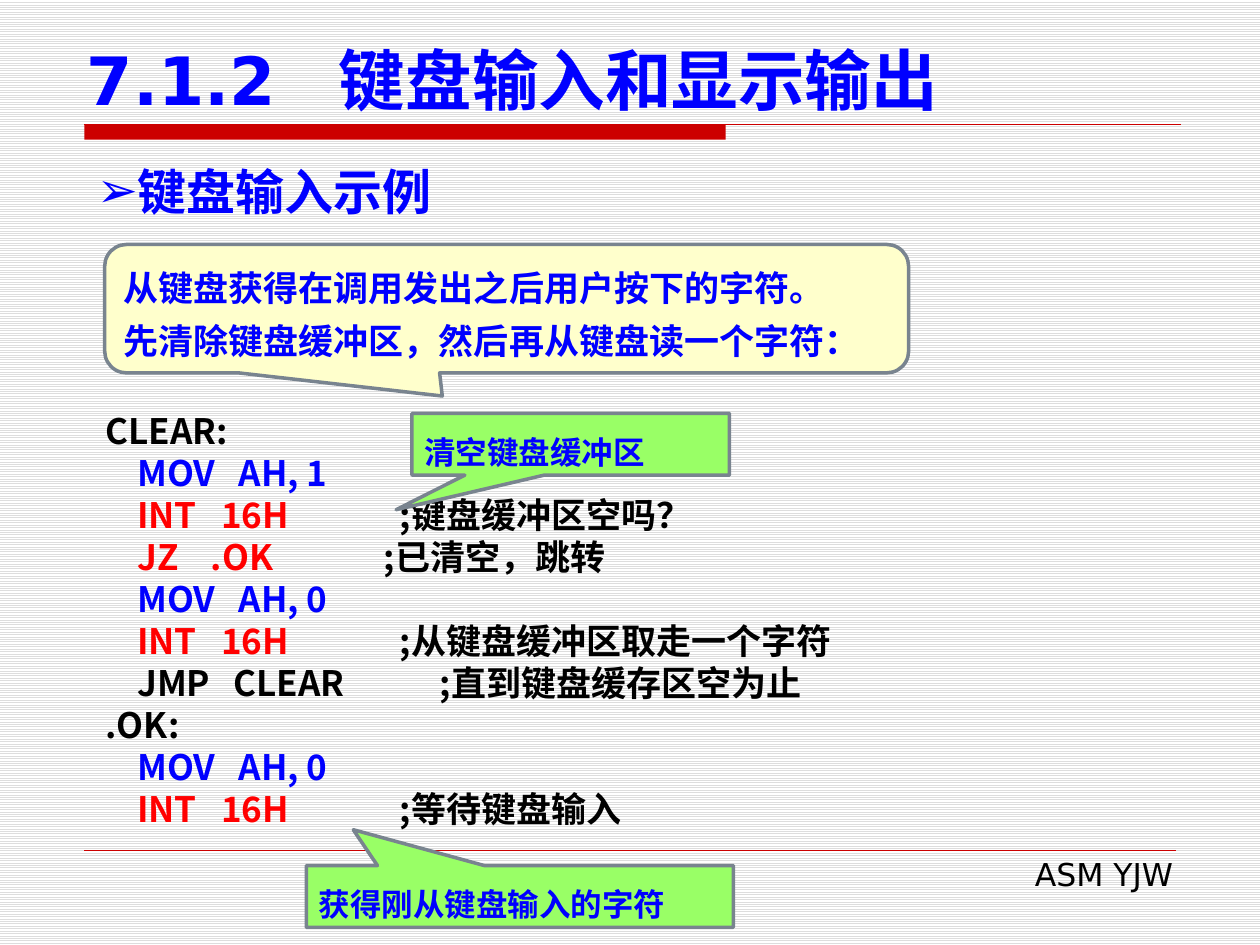
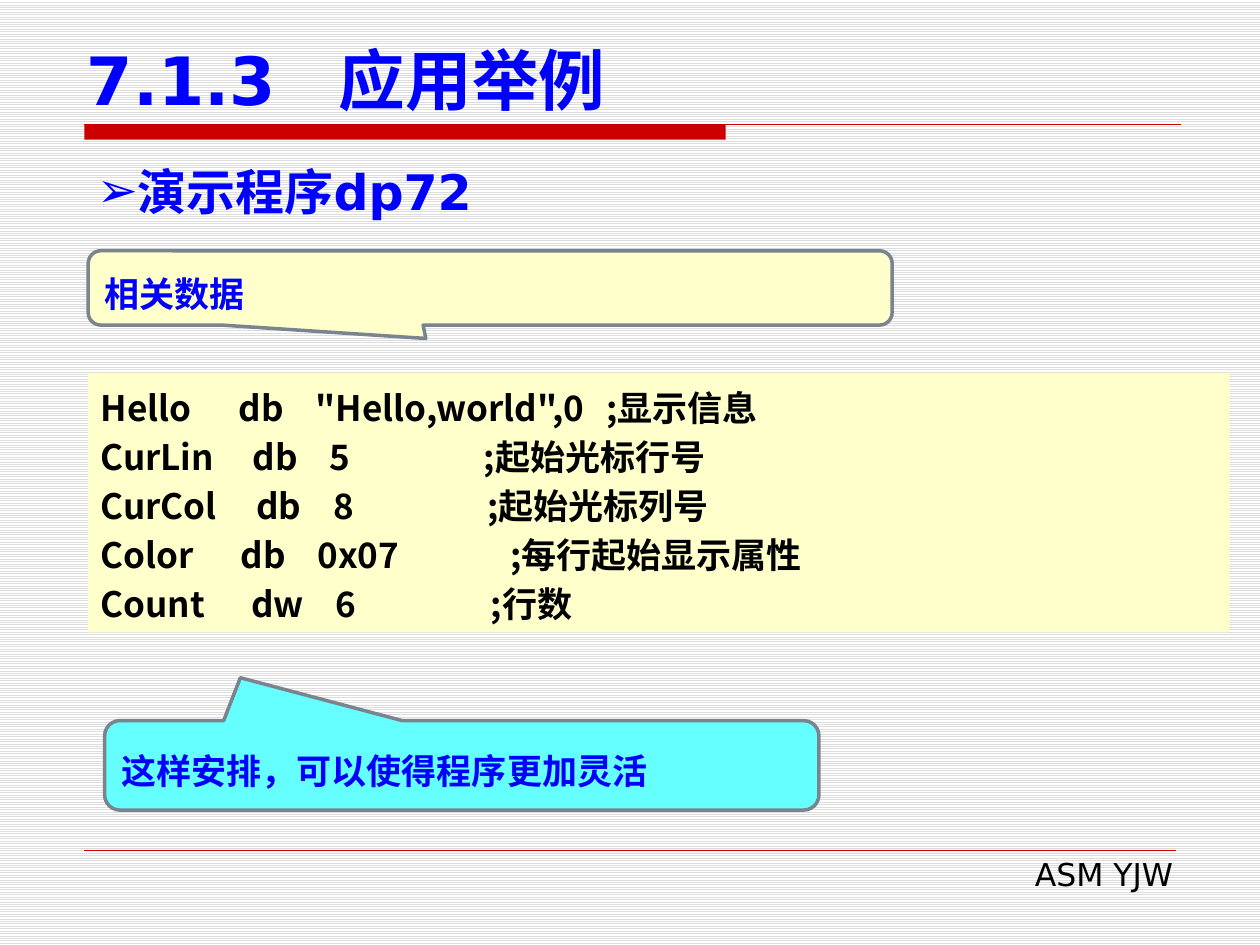
from lxml.etree import SubElement
from pptx import Presentation
from pptx.dml.color import RGBColor
from pptx.enum.dml import MSO_PATTERN
from pptx.enum.shapes import MSO_CONNECTOR, MSO_SHAPE
from pptx.enum.text import MSO_ANCHOR, MSO_AUTO_SIZE, PP_ALIGN
from pptx.oxml.ns import qn
from pptx.util import Pt

BLUE = RGBColor(0x00, 0x00, 0xFF)
RED = RGBColor(0xFF, 0x00, 0x00)
BLACK = RGBColor(0x00, 0x00, 0x00)
BAND = RGBColor(0xCC, 0x00, 0x00)
GREY = RGBColor(0x79, 0x84, 0x8F)
CREAM = RGBColor(0xFF, 0xFF, 0xCC)
GREEN = RGBColor(0x99, 0xFF, 0x66)
CYAN = RGBColor(0x66, 0xFF, 0xFF)
STRIPE = RGBColor(0xDD, 0xDD, 0xDD)
WHITE = RGBColor(0xFF, 0xFF, 0xFF)

SANS = "DejaVu Sans"
HAN = "Noto Sans CJK SC"
ROUND = MSO_SHAPE.ROUNDED_RECTANGULAR_CALLOUT
WEDGE = MSO_SHAPE.RECTANGULAR_CALLOUT

# Tab stops of the code lines: mnemonic, operand, remark
MOV = (18, 76)
INT = (18, 66, 168)
JZ = (18, 60, 159)
JMP = (18, 73, 191)

# Each line: its tab stops, then its runs as (text, colour)
KEYS = [
    ((), [("CLEAR:", BLACK)]),
    (MOV, [("\tMOV\tAH, 1", BLUE)]),
    (INT, [("\tINT\t16H\t", RED), (";键盘缓冲区空吗？", BLACK)]),
    (JZ, [("\tJZ\t.OK\t", RED), (";已清空，跳转", BLACK)]),
    (MOV, [("\tMOV\tAH, 0", BLUE)]),
    (INT, [("\tINT\t16H\t", RED), (";从键盘缓冲区取走一个字符", BLACK)]),
    (JMP, [("\tJMP\tCLEAR\t;直到键盘缓存区空为止", BLACK)]),
    ((), [(".OK:", BLACK)]),
    (MOV, [("\tMOV\tAH, 0", BLUE)]),
    (INT, [("\tINT\t16H\t", RED), (";等待键盘输入", BLACK)]),
]
DATA = [
    ((79, 123, 289), [('Hello\tdb\t"Hello,world",0\t;显示信息', BLACK)]),
    ((87, 131, 219), [("CurLin\tdb\t5\t;起始光标行号", BLACK)]),
    ((89, 133, 221), [("CurCol\tdb\t8\t;起始光标列号", BLACK)]),
    ((80, 124, 234), [("Color\tdb\t0x07\t;每行起始显示属性", BLACK)]),
    ((86, 134, 223), [("Count\tdw\t6\t;行数", BLACK)]),
]

# Callouts: kind, box, adjustments, fill, font, size, lines
SLIDES = [
    {
        "title": "7.1.2\t键盘输入和显示输出",
        "head": "键盘输入示例",
        "code": (KEYS, (53.3, 230.4, 584, 250), 24, None),
        "notes": [
            (ROUND, (59.8, 139.7, 459.4, 73.4), (-0.08, 0.68, 0.17), CREAM, HAN, 20,
             ["从键盘获得在调用发出之后用户按下的字符。",
              "先清除键盘缓冲区，然后再从键盘读一个字符："]),
            (WEDGE, (235.4, 236.2, 181.4, 35.3), (-0.55, 1.06), GREEN, SANS, 18,
             ["清空键盘缓冲区"]),
            (WEDGE, (175, 494.6, 244.1, 35.3), (-0.39, -1.08), GREEN, SANS, 18,
             ["获得刚从键盘输入的字符"]),
        ],
    },
    {
        "title": "7.1.3\t应用举例",
        "head": "演示程序dp72",
        "code": (DATA, (50.4, 213.1, 652.3, 148.3), 28, CREAM),
        "notes": [
            (ROUND, (50.4, 143.3, 459.4, 42.5), (-0.08, 0.68, 0.17), CREAM, HAN, 20,
             ["相关数据"]),
            (ROUND, (59.8, 411.8, 408.2, 51.1), (-0.31, -0.98, 0.17), CYAN, HAN, 20,
             ["这样安排，可以使得程序更加灵活"]),
        ],
    },
]


def place(shape, box):
    shape.left, shape.top, shape.width, shape.height = map(Pt, box)


def write(shape, lines, font, size, bold=True, gap=None, align=PP_ALIGN.LEFT,
          anchor=MSO_ANCHOR.TOP):
    """Fill a shape with lines of (tab stops, runs); gap is an exact line height."""
    frame = shape.text_frame
    frame.word_wrap = True
    frame.auto_size = MSO_AUTO_SIZE.NONE
    frame.vertical_anchor = anchor
    for i, (stops, runs) in enumerate(lines):
        para = frame.add_paragraph() if i else frame.paragraphs[0]
        para.alignment = align
        para.space_before = Pt(0)
        if gap:
            para.line_spacing = Pt(gap)
        if stops:
            tabs = SubElement(para._p.get_or_add_pPr(), qn("a:tabLst"))
            for stop in stops:
                SubElement(tabs, qn("a:tab"), pos=str(Pt(stop)), algn="l")
        for text, colour in runs:
            run = para.add_run()
            run.text = text
            run.font.name, run.font.size, run.font.bold = font, Pt(size), bold
            run.font.color.rgb = colour
            SubElement(run._r.get_or_add_rPr(), qn("a:ea"), typeface=HAN)


def add_box(slide, kind, box, fill, line=None):
    shape = slide.shapes.add_shape(kind, *map(Pt, box))
    shape.shadow.inherit = False
    shape.fill.solid()
    shape.fill.fore_color.rgb = fill
    if line:
        shape.line.color.rgb = line
        shape.line.width = Pt(2)
    else:
        shape.line.fill.background()
    return shape


def add_rule(slide, left, right, y, width):
    rule = slide.shapes.add_connector(
        MSO_CONNECTOR.STRAIGHT, Pt(left), Pt(y), Pt(right), Pt(y))
    rule.line.color.rgb = BAND
    rule.line.width = Pt(width)
    SubElement(rule._element.spPr, qn("a:effectLst"))
    return rule


def dress(master, slide):
    """Give the master its stripes, band, rules and footer, made by way of a slide."""
    fill = master.background.fill
    fill.patterned()
    fill.pattern = MSO_PATTERN.LIGHT_HORIZONTAL
    fill.fore_color.rgb = STRIPE
    fill.back_color.rgb = WHITE
    band = add_box(slide, MSO_SHAPE.RECTANGLE, (48.2, 71.3, 366.5, 8.6), BAND)
    top = add_rule(slide, 48.2, 674.6, 71.3, 0.75)
    foot = add_rule(slide, 48.2, 671.8, 486, 0.25)
    label = slide.shapes.add_textbox(*map(Pt, (275, 485.3, 402.5, 28.8)))
    write(label, [((), [("ASM YJW", BLACK)])], SANS, 18, bold=False,
          align=PP_ALIGN.RIGHT)
    for part in (band, top, foot, label):
        master.shapes._spTree.append(part._element)


def add_heads(slide, title, head):
    top, body = slide.placeholders
    place(top, (42.5, 20.2, 652.3, 51.1))
    write(top, [((144,), [(title, BLUE)])], SANS, 38, anchor=MSO_ANCHOR.BOTTOM)
    place(body, (48.2, 88.6, 623.5, 41))
    write(body, [((), [(head, BLUE)])], SANS, 28, align=PP_ALIGN.JUSTIFY)
    props = body.text_frame.paragraphs[0]._p.get_or_add_pPr()
    props.set("marL", str(Pt(23)))
    props.set("indent", str(Pt(-23)))
    SubElement(props, qn("a:buFont"), typeface=SANS)
    SubElement(props, qn("a:buChar"), char="➢")


def add_code(slide, lines, box, gap, fill):
    if fill:
        shape = add_box(slide, MSO_SHAPE.RECTANGLE, box, fill)
    else:
        shape = slide.shapes.add_textbox(*map(Pt, box))
    write(shape, lines, HAN, 20, gap=gap)


def add_note(slide, kind, box, bends, fill, font, size, lines):
    shape = add_box(slide, kind, box, fill, GREY)
    for i, bend in enumerate(bends):
        shape.adjustments[i] = bend
    write(shape, [((), [(line, BLUE)]) for line in lines], font, size, gap=30,
          anchor=MSO_ANCHOR.MIDDLE)


def main():
    deck = Presentation()
    deck.slide_width, deck.slide_height = Pt(720), Pt(540)
    for i, page in enumerate(SLIDES):
        slide = deck.slides.add_slide(deck.slide_layouts[1])
        if i == 0:
            dress(deck.slide_master, slide)
        add_heads(slide, page["title"], page["head"])
        add_code(slide, *page["code"])
        for note in page["notes"]:
            add_note(slide, *note)
    deck.save("out.pptx")


if __name__ == "__main__":
    main()
